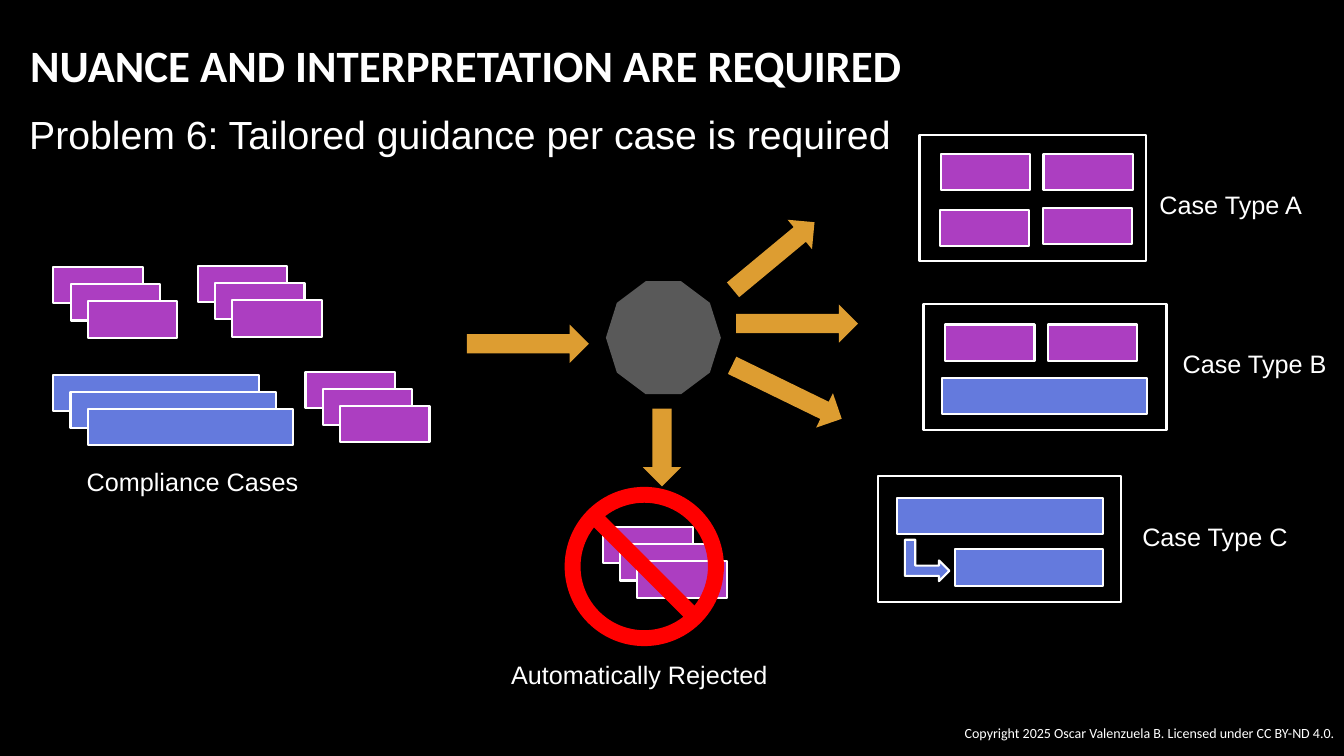
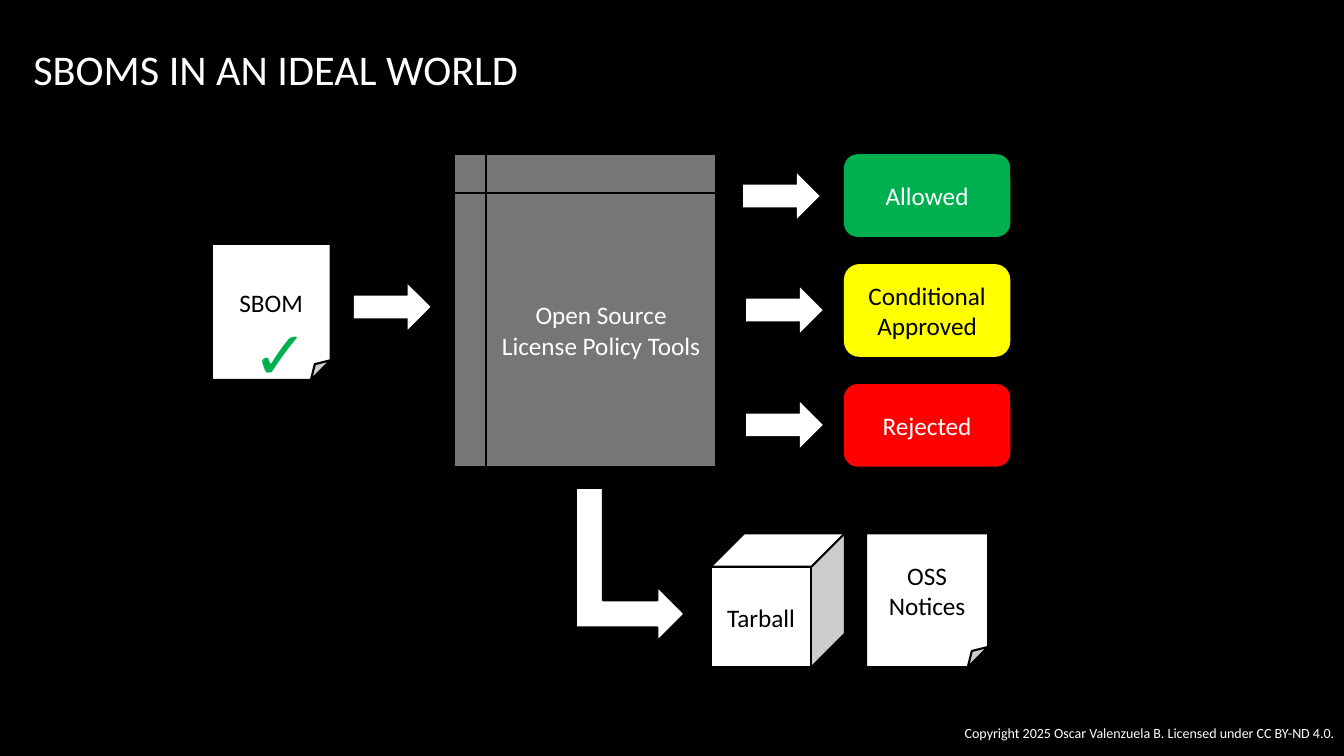
import pptx
import pptx.dml.color
import pptx.enum.shapes
import pptx.enum.text
import pptx.util

Inches = pptx.util.Inches
Pt = pptx.util.Pt
SHAPE = pptx.enum.shapes.MSO_SHAPE
ALIGN = pptx.enum.text.PP_ALIGN
ANCHOR = pptx.enum.text.MSO_ANCHOR
FIT = pptx.enum.text.MSO_AUTO_SIZE

BLACK, WHITE = "000000", "FFFFFF"
PURPLE, BLUE = "AC3EC1", "647ADD"
ORANGE, GRAY, DARK_GRAY = "DD9D31", "767676", "595959"
GREEN, YELLOW, RED = "00B050", "FFFF00", "FF0000"
SMALL_CASE, LARGE_CASE, MEDIUM_CASE = 0.89, 2.04, 1.47
CASE_HEIGHT = 0.36
STACK_STEP = 0.17
LABEL_INSETS = (0, 0.05, 0.1, 0.05)
BOX_INSETS = (0.1, 0.05, 0.1, 0.05)
FOOTER = "Copyright 2025 Oscar Valenzuela B. Licensed under CC BY-ND 4.0."


def color(value):
    """Turn a hex string into a colour."""
    return pptx.dml.color.RGBColor.from_string(value)


def write_text(shape, text, size=18, font="Calibri", fill=WHITE, bold=False,
               align=ALIGN.LEFT, anchor=ANCHOR.TOP, insets=BOX_INSETS,
               wrap=True, fit=FIT.NONE, line_spacing=None):
    """Write one formatted paragraph into a shape."""
    frame = shape.text_frame
    frame.text = text
    frame.word_wrap = wrap
    frame.auto_size = fit
    frame.vertical_anchor = anchor
    (frame.margin_left, frame.margin_top,
     frame.margin_right, frame.margin_bottom) = map(Inches, insets)
    paragraph = frame.paragraphs[0]
    paragraph.alignment = align
    if line_spacing:
        paragraph.line_spacing = line_spacing
    paragraph.font.name = font
    paragraph.font.size = Pt(size)
    paragraph.font.bold = bold
    paragraph.font.color.rgb = color(fill)


def add_shape(shapes, kind, box, fill=None, line=None, rotation=0):
    """Add a flat preset shape; box is left, top, width, height."""
    shape = shapes.add_shape(kind, *map(Inches, box))
    shape.shadow.inherit = False
    shape.rotation = rotation
    if fill:
        shape.fill.solid()
        shape.fill.fore_color.rgb = color(fill)
    else:
        shape.fill.background()
    if line:
        shape.line.color.rgb = color(line)
        shape.line.width = Pt(1.5)
    else:
        shape.line.fill.background()
    return shape


def add_node(shapes, kind, box, text, fill, line=None, text_fill=BLACK):
    """Add a shape with a centred caption."""
    shape = add_shape(shapes, kind, box, fill, line)
    write_text(shape, text, fill=text_fill, align=ALIGN.CENTER,
               anchor=ANCHOR.MIDDLE)


def add_label(shapes, text, box, **text_format):
    """Add a text box that stays on one line."""
    label = shapes.add_textbox(*map(Inches, box))
    options = dict(font="Arial", insets=LABEL_INSETS, wrap=False,
                   fit=FIT.SHAPE_TO_FIT_TEXT)
    write_text(label, text, **{**options, **text_format})


def add_case(shapes, left, top, width=SMALL_CASE, fill=PURPLE):
    """Add one case card."""
    add_shape(shapes, SHAPE.RECTANGLE, (left, top, width, CASE_HEIGHT),
              fill, WHITE)


def add_stack(shapes, left, top, width=SMALL_CASE, fill=PURPLE):
    """Add three overlapping case cards."""
    for index in range(3):
        offset = index * STACK_STEP
        add_case(shapes, left + offset, top + offset, width, fill)


def add_case_type(shapes, name, frame, label_box, cases):
    """Add a framed set of cases with its name beside it."""
    add_shape(shapes, SHAPE.RECTANGLE, frame, line=WHITE)
    for case in cases:
        add_case(shapes, *case)
    add_label(shapes, name, label_box)


def add_slide(presentation, title, box, **title_format):
    """Add a slide with its title and the copyright footer."""
    slide = presentation.slides.add_slide(presentation.slide_layouts[5])
    shape = slide.shapes.title
    shape.left, shape.top, shape.width, shape.height = map(Inches, box)
    write_text(shape, title, **title_format)
    add_label(slide.shapes, FOOTER, (0, 7.14, 13.33, 0.27), size=10,
              font="Calibri", align=ALIGN.RIGHT, insets=BOX_INSETS, wrap=True)
    return slide


def build_guidance_slide(presentation):
    """Build the slide about sorting compliance cases."""
    shapes = add_slide(
        presentation, "NUANCE AND INTERPRETATION ARE REQUIRED",
        (0.2, 0.22, 12.58, 0.74), size=32, bold=True,
        anchor=ANCHOR.BOTTOM, line_spacing=0.9).shapes
    add_label(shapes, "Problem 6: Tailored guidance per case is required",
              (0.29, 1.05, 8.76, 0.57), size=28)

    add_stack(shapes, 0.53, 2.65)
    add_stack(shapes, 1.96, 2.64)
    add_stack(shapes, 0.53, 3.72, LARGE_CASE, BLUE)
    add_stack(shapes, 3.03, 3.69)
    add_label(shapes, "Compliance Cases", (0.86, 4.58, 2.22, 0.4))

    add_shape(shapes, SHAPE.DECAGON, (6.01, 2.79, 1.14, 1.12), DARK_GRAY)
    for left, top, width, rotation in (
            (4.63, 3.22, 1.21, 0), (7.3, 3.02, 1.21, 0),
            (7.15, 2.35, 1.05, 320.3), (7.2, 3.7, 1.21, 26),
            (6.18, 4.25, 0.77, 90)):
        add_shape(shapes, SHAPE.RIGHT_ARROW, (left, top, width, 0.38),
                  ORANGE, rotation=rotation)

    add_stack(shapes, 5.98, 5.23)
    no_entry = add_shape(shapes, SHAPE.NO_SYMBOL, (5.6, 4.83, 1.58, 1.58), RED)
    no_entry.adjustments[0] = 0.1
    add_label(shapes, "Automatically Rejected", (5.07, 6.49, 2.67, 0.4))

    add_case_type(shapes, "Case Type A", (9.12, 1.34, 2.25, 1.25),
                  (11.5, 1.83, 1.53, 0.4),
                  [(9.33, 1.53), (10.35, 1.53), (9.32, 2.08), (10.34, 2.06)])
    add_case_type(shapes, "Case Type B", (9.16, 3.02, 2.41, 1.25),
                  (11.73, 3.41, 1.54, 0.4),
                  [(9.37, 3.22), (10.39, 3.22),
                   (9.34, 3.75, LARGE_CASE, BLUE)])
    add_case_type(shapes, "Case Type C", (8.71, 4.72, 2.41, 1.25),
                  (11.33, 5.12, 1.56, 0.4),
                  [(8.9, 4.94, LARGE_CASE, BLUE),
                   (9.47, 5.45, MEDIUM_CASE, BLUE)])
    add_shape(shapes, SHAPE.BENT_UP_ARROW, (8.99, 5.34, 0.41, 0.44),
              BLUE, WHITE, 90)


def build_sbom_slide(presentation):
    """Build the slide about the ideal SBOM flow."""
    shapes = add_slide(
        presentation, "SBOMS IN AN IDEAL WORLD", (0.33, 0.27, 12.67, 0.79),
        size=30.2, insets=(0, 0.16, 0.1, 0.16)).shapes
    add_node(shapes, SHAPE.FLOWCHART_INTERNAL_STORAGE, (4.5, 1.53, 2.6, 3.1),
             "Open Source License Policy Tools", GRAY, BLACK, WHITE)

    document = shapes.add_group_shape().shapes
    add_node(document, SHAPE.FOLDED_CORNER, (2.1, 2.42, 1.18, 1.35),
             "SBOM", WHITE, BLACK)
    add_label(document, "✓", (2.5, 3.05, 0.62, 0.91), size=48,
              font="Calibri", fill=GREEN, bold=True)

    for text, top, height, fill, text_fill in (
            ("Allowed", 1.53, 0.82, GREEN, WHITE),
            ("Conditional Approved", 2.62, 0.92, YELLOW, BLACK),
            ("Rejected", 3.81, 0.82, RED, WHITE)):
        add_node(shapes, SHAPE.ROUNDED_RECTANGLE, (8.37, top, 1.65, height),
                 text, fill, text_fill=text_fill)
    for left, top in ((3.51, 2.82), (7.37, 1.72), (7.4, 2.85), (7.4, 3.99)):
        add_shape(shapes, SHAPE.RIGHT_ARROW, (left, top, 0.76, 0.45), WHITE)

    add_shape(shapes, SHAPE.BENT_UP_ARROW, (5.49, 5.06, 1.52, 1.08),
              WHITE, BLACK, 90)
    add_node(shapes, SHAPE.CUBE, (7.05, 5.29, 1.33, 1.33),
             "Tarball", WHITE, BLACK)
    add_node(shapes, SHAPE.FOLDED_CORNER, (8.59, 5.29, 1.21, 1.33),
             "OSS Notices", WHITE, BLACK)


def main():
    """Build and save the presentation."""
    presentation = pptx.Presentation()
    presentation.slide_width = Inches(13.33)
    presentation.slide_height = Inches(7.5)
    background = presentation.slide_master.background.fill
    background.solid()
    background.fore_color.rgb = color(BLACK)
    build_guidance_slide(presentation)
    build_sbom_slide(presentation)
    presentation.save("out.pptx")


if __name__ == "__main__":
    main()
